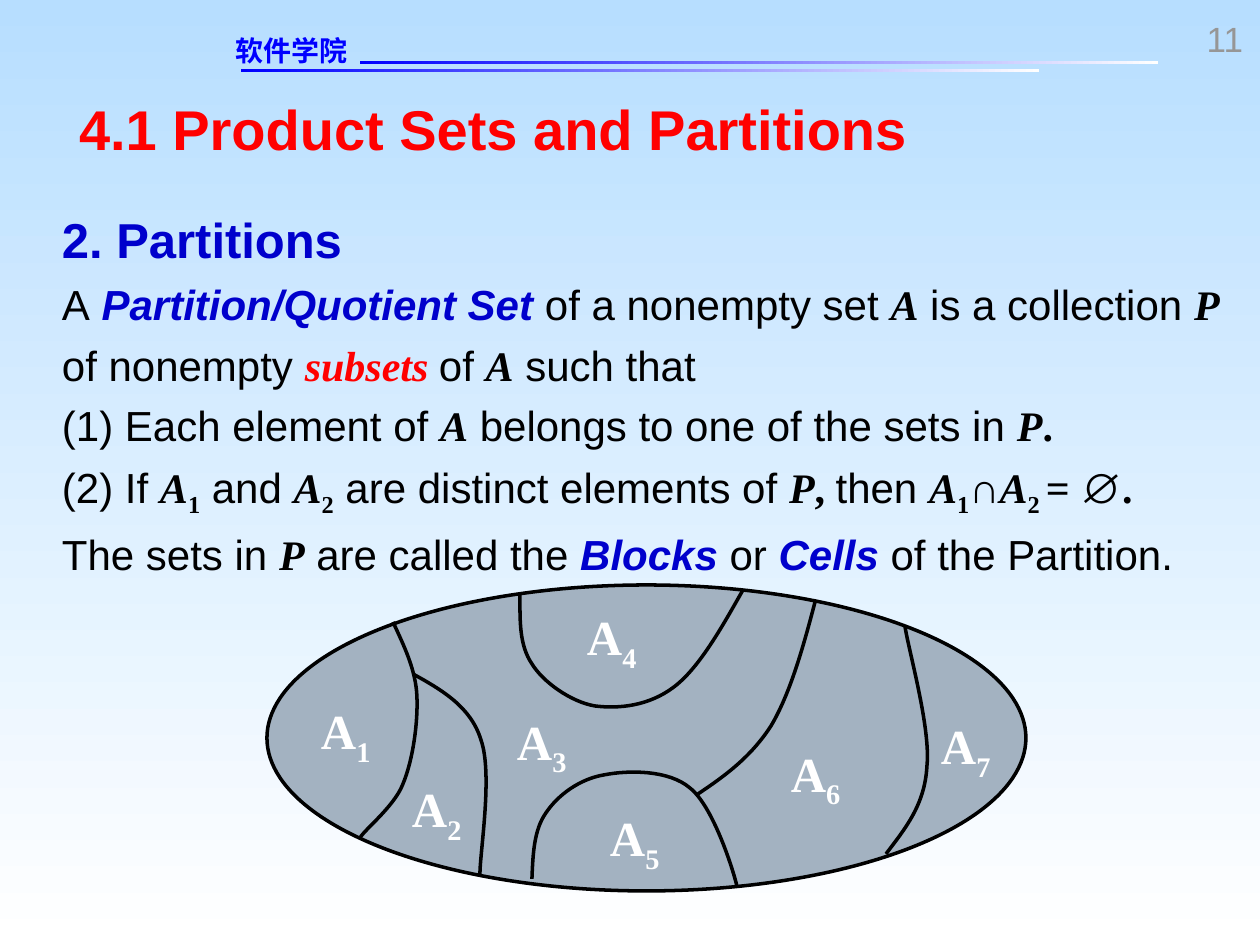
from lxml.etree import SubElement
from pptx import Presentation
from pptx.dml.color import RGBColor
from pptx.enum.shapes import MSO_SHAPE
from pptx.enum.text import PP_ALIGN
from pptx.oxml.ns import qn
from pptx.util import Pt

PX = 914400 // 126
HUES = {
    "sky": "B7DEFF", "white": "FFFFFF", "bar": "0000FF", "grey": "969696",
    "red": "FF0000", "navy": "0000CC", "black": "000000", "slate": "A3B2C1",
}
SANS, SERIF, HAN = "Arial", "Times New Roman", "DejaVu Sans"
STYLES = {
    "text": (SANS, "black", False, False, False),
    "head": (SANS, "navy", True, False, False),
    "term": (SANS, "navy", True, True, False),
    "sign": (SANS, "black", True, False, False),
    "var": (SERIF, "black", True, True, False),
    "key": (SERIF, "red", True, True, False),
    "mark": (SERIF, "black", True, False, False),
    "sub": (SERIF, "black", True, False, True),
    "name": (SERIF, "white", True, False, False),
    "index": (SERIF, "white", True, False, True),
    "title": (SANS, "red", True, False, False),
    "school": (HAN, "bar", True, False, False),
    "page": (SANS, "grey", False, False, False),
}
BODY = [
    (28, [("2. Partitions", "head")]),
    (24, [("A", "text"), (" Partition/Quotient Set ", "term"),
          ("of a nonempty set ", "text"), ("A", "var"),
          (" is a collection ", "text"), ("P ", "var"),
          ("of nonempty ", "text"), ("subsets ", "key"),
          ("of ", "text"), ("A", "var"), (" such that", "text")]),
    (24, [("(1) Each element of ", "text"), ("A", "var"),
          (" belongs to one of the sets in ", "text"), ("P", "var"),
          (".", "mark")]),
    (24, [("(2) If ", "text"), ("A", "var"), ("1", "sub"), (" and ", "text"),
          ("A", "var"), ("2", "sub"), (" are distinct elements of ", "text"),
          ("P", "var"), (", ", "mark"), ("then ", "text"), ("A", "var"),
          ("1", "sub"), ("∩", "mark"), ("A", "var"), ("2 ", "sub"),
          ("= ", "mark"), ("∅", "sign"), (".", "mark")]),
    (24, [("The sets in ", "text"), ("P", "var"), (" are called the ", "text"),
          ("Blocks", "term"), (" or ", "text"), ("Cells ", "term"),
          ("of the Partition.", "text")]),
]
CURVES = [
    [(532, 879), (533, 854), (534, 830), (546, 813),
     (558, 795), (580, 779), (604, 775),
     (629, 770), (669, 770), (690, 788), (713, 806), (733, 869), (737, 886)],
    [(698, 794), (725, 776), (751, 757), (771, 726),
     (790, 694), (803, 648), (815, 602)],
    [(886, 854), (905, 829), (925, 805), (927, 766),
     (931, 728), (908, 648), (905, 626)],
    [(393, 622), (404, 646), (416, 670), (417, 697), (418, 723),
     (413, 760), (403, 784), (394, 808), (359, 834), (360, 839)],
    [(413, 674), (442, 690), (471, 707), (481, 740),
     (493, 774), (480, 852), (480, 874)],
]
CAP = [(520, 595), (520, 620), (519, 645), (532, 664),
       (543, 682), (571, 702), (595, 706),
       (619, 709), (649, 706), (674, 687), (699, 668), (721, 629), (743, 590)]
LABELS = [(321, 701), (412, 779), (517, 711), (587, 607),
          (610, 808), (791, 743), (941, 716)]


def tint(color, hue):
    color.rgb = RGBColor.from_string(HUES[hue])


def fade(fill, first, last, angle):
    fill.gradient()
    fill.gradient_angle = angle
    for stop, hue in zip(fill.gradient_stops, (first, last)):
        tint(stop.color, hue)


def add_run(para, text, size, style):
    face, hue, bold, slant, low = STYLES[style]
    run = para.add_run()
    run.text = text
    font = run.font
    font.size, font.name, font.bold, font.italic = Pt(size), face, bold, slant
    tint(font.color, hue)
    props = run._r.get_or_add_rPr()
    if face == HAN:
        SubElement(props, qn("a:ea"), typeface=face)
    if low:
        props.set("baseline", "-25000")


def add_text(slide, place, lines, wrap=True, align=PP_ALIGN.LEFT, pitch=1.0):
    frame = slide.shapes.add_textbox(*(v * PX for v in place)).text_frame
    frame.margin_left = frame.margin_right = 0
    frame.margin_top = frame.margin_bottom = 0
    frame.word_wrap = wrap
    for i, (size, runs) in enumerate(lines):
        para = frame.add_paragraph() if i else frame.paragraphs[0]
        para.alignment, para.line_spacing = align, pitch
        for text, style in runs:
            add_run(para, text, size, style)


def add_bar(slide, x, y):
    bar = slide.shapes.add_shape(
        MSO_SHAPE.RECTANGLE, x * PX, y * PX, 798 * PX, 3 * PX)
    bar.shadow.inherit = False
    bar.line.fill.background()
    fade(bar.fill, "bar", "white", 0)


def ink(shape):
    shape.shadow.inherit = False
    tint(shape.line.color, "black")
    shape.line.width = Pt(2)


def add_oval(slide, x, y, w, h):
    oval = slide.shapes.add_shape(
        MSO_SHAPE.OVAL, x * PX, y * PX, w * PX, h * PX)
    oval.fill.solid()
    tint(oval.fill.fore_color, "slate")
    ink(oval)


def add_curve(slide, knots):
    pen = slide.shapes.build_freeform(*knots[0], scale=PX)
    pen.add_line_segments(knots[1:], close=False)
    curve = pen.convert_to_shape()
    route = next(curve._element.iter(qn("a:path")))
    for i, line in enumerate(route.findall(qn("a:lnTo"))):
        if i % 3 == 0:
            arc = SubElement(route, qn("a:cubicBezTo"))
        arc.append(line[0])
        route.remove(line)
    curve.fill.background()
    ink(curve)


def main():
    deck = Presentation()
    deck.slide_width, deck.slide_height = 1260 * PX, 945 * PX
    slide = deck.slides.add_slide(deck.slide_layouts[6])
    fade(slide.background.fill, "sky", "white", 270)
    add_bar(slide, 241, 69)
    add_text(slide, (236, 34, 183, 34), [(16, [("软件学院", "school")])])
    add_text(slide, (1149, 17, 94, 42), [(20, [("11", "page")])],
             align=PP_ALIGN.RIGHT)
    add_bar(slide, 360, 61)
    add_text(slide, (79, 94, 1128, 67),
             [(32, [("4.1 Product Sets and Partitions", "title")])])
    add_text(slide, (62, 198, 1162, 442), BODY, pitch=1.2)
    add_oval(slide, 267, 585, 759, 306)
    for knots in CURVES:
        add_curve(slide, knots)
    for n, (x, y) in enumerate(LABELS, 1):
        add_text(slide, (x, y, 52, 67),
                 [(28, [("A", "name"), (str(n), "index")])], wrap=False)
    add_curve(slide, CAP)
    deck.save("out.pptx")


if __name__ == "__main__":
    main()
